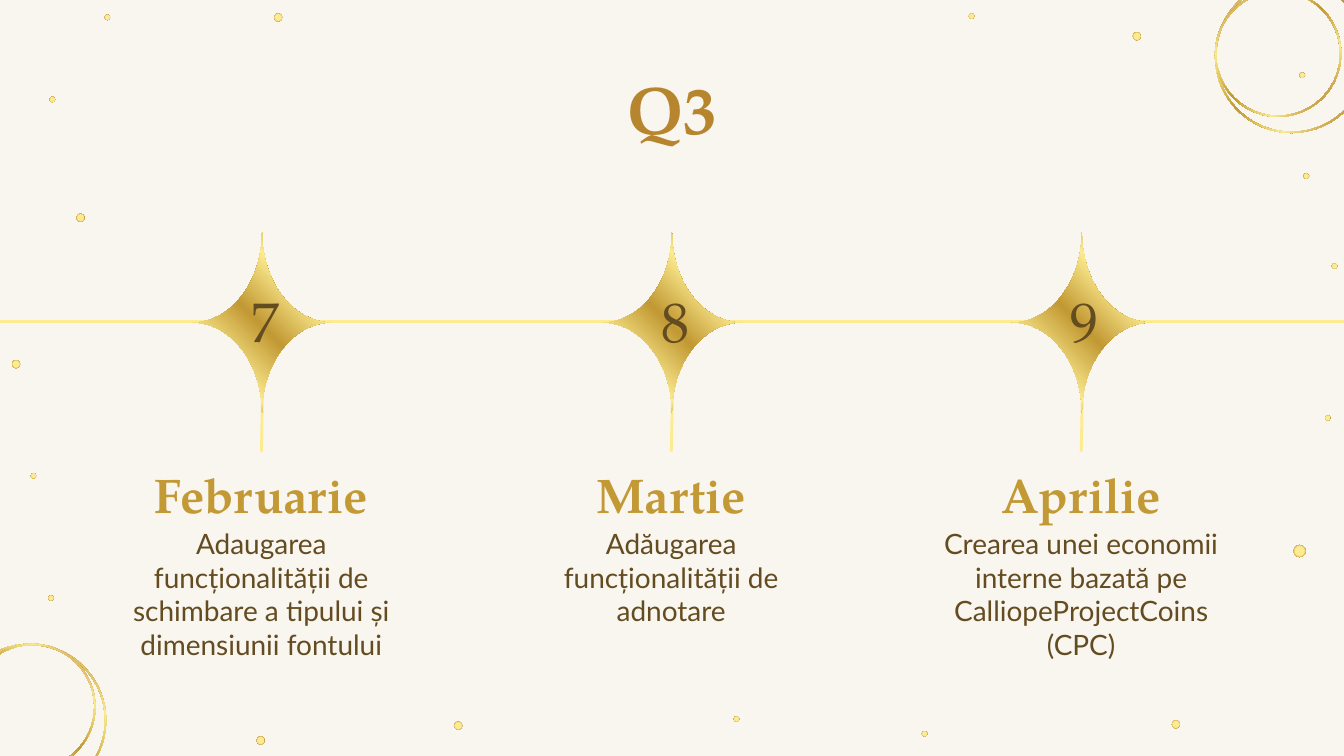
from typing import NamedTuple

from lxml import etree
from pptx import Presentation
from pptx import util as u
from pptx.dml.color import RGBColor
from pptx.enum import shapes as sh, text as tx
from pptx.oxml import parse_xml
from pptx.oxml.ns import nsdecls, qn

HUES = {"back": "F9F5EF", "pale": "FCEB8F", "gold": "C29934", "tan": "C99F4A",
        "dark": "B88532", "title": "B6852D", "ink": "644C21"}
SERIF, SANS = "TeX Gyre Pagella", "Lato"
BAND = [(0, "dark"), (9, "tan"), (25, "pale"), (49, "gold"),
        (72, "pale"), (86, "tan"), (100, "dark")]
SPARK = [BAND[0], (9, "gold"), *BAND[2:]]
GLOW = [(0, "pale"), (21, "pale"), (52, "pale"), (79, "tan"), (100, "gold")]
RADIAL = ('<a:path path="circle"><a:fillToRect l="50000" t="50000" '
          'r="50000" b="50000"/></a:path>')


class Dot(NamedTuple):
    x: float
    y: float
    size: float


class Ring(NamedTuple):
    x: float
    y: float
    rad: float
    turn: float


class Month(NamedTuple):
    num: str
    name: str
    goal: str


class Font(NamedTuple):
    face: str
    size: int
    hue: str
    bold: bool = False


BIG = [(0.12, 2.71), (2.07, 0.13), (0.6, 1.62), (1.94, 5.51),
       (3.41, 5.4), (8.75, 5.39), (8.46, 0.27)]
SMALL = [(0.39, 0.74), (9.72, 1.31), (0.25, 3.54), (0.38, 4.45), (0.8, 0.13),
         (5.48, 5.35), (7.23, 0.12), (9.69, 0.56), (9.93, 1.98),
         (9.88, 3.11), (6.88, 5.46)]
DOTS = ([Dot(x, y, 0.06) for x, y in BIG] + [Dot(9.67, 4.1, 0.09)]
        + [Dot(x, y, 0.04) for x, y in SMALL])
RINGS = [Ring(9.61, 0.42, 0.57, 0), Ring(9.51, 0.4, 0.47, 0),
         Ring(0.22, 5.36, 0.57, 87.3), Ring(0.24, 5.26, 0.47, 87.3)]
MONTHS = [
    Month("7", "Februarie", "Adaugarea funcționalității de schimbare a tipului "
          "și dimensiunii fontului"),
    Month("8", "Martie", "Adăugarea funcționalității de adnotare"),
    Month("9", "Aprilie", "Crearea unei economii interne bazată pe "
          "CalliopeProjectCoins (CPC)"),
]
FIRST, STEP, AXIS = 1.95, 3.05, 2.39


def color(name: str) -> RGBColor:
    return RGBColor.from_string(HUES[name])


def shade(shape, stops: list, angle=None) -> None:
    """Fill with a linear gradient, or a radial one when no angle is given."""
    shape.shadow.inherit = False
    shape.line.fill.background()
    shape.fill.background()
    marks = "".join(f'<a:gs pos="{p * 1000}"><a:srgbClr val="{HUES[c]}"/></a:gs>'
                    for p, c in stops)
    way = RADIAL if angle is None else f'<a:lin ang="{angle * 60000}" scaled="0"/>'
    grad = parse_xml(f'<a:gradFill {nsdecls("a")} rotWithShape="1">'
                     f'<a:gsLst>{marks}</a:gsLst>{way}</a:gradFill>')
    props = shape._element.spPr
    props.replace(props.find(qn("a:noFill")), grad)


def add_round(slide, kind, x: float, y: float, size: float):
    return slide.shapes.add_shape(kind, u.Inches(x - size / 2), u.Inches(y - size / 2),
                                  u.Inches(size), u.Inches(size))


def add_dot(slide, dot: Dot) -> None:
    shade(add_round(slide, sh.MSO_SHAPE.OVAL, *dot), GLOW)


def add_ring(slide, ring: Ring) -> None:
    size, thick = 2 * ring.rad, 0.01
    hoop = add_round(slide, sh.MSO_SHAPE.DONUT, ring.x, ring.y, size)
    hoop.adjustments[0] = thick / size
    hoop.rotation = ring.turn
    shade(hoop, BAND, 45)


def add_line(slide, x1: float, y1: float, x2: float, y2: float):
    line = slide.shapes.add_connector(sh.MSO_CONNECTOR.STRAIGHT, u.Inches(x1),
                                      u.Inches(y1), u.Inches(x2), u.Inches(y2))
    line.line.color.rgb = color("pale")
    line.line.width = u.Pt(1.5)
    etree.SubElement(line._element.spPr, qn("a:effectLst"))
    return line


def add_star(slide, x: float, y: float) -> None:
    """Four-point star whose sides are sampled Bezier curves."""
    wide, tall, count = 0.52, 0.67, 16
    side = []
    for i in range(count + 1):
        t = i / count
        side.append((wide * (1.32 * t * t * (1 - t) + t ** 3),
                     tall * ((1 - t) ** 3 + 1.36 * t * (1 - t) ** 2)))
    back = side[::-1]
    pts = ([(a, -b) for a, b in side] + [(a, b) for a, b in back]
           + [(-a, b) for a, b in side] + [(-a, -b) for a, b in back])
    spots = [(u.Inches(x + a), u.Inches(y + b)) for a, b in pts]
    pen = slide.shapes.build_freeform(*spots[0])
    pen.add_line_segments(spots[1:], close=True)
    shade(pen.convert_to_shape(), SPARK, 315)


def add_text(slide, words: str, x: float, y: float, w: float, h: float,
             font: Font, anchor=tx.MSO_ANCHOR.TOP):
    box = slide.shapes.add_textbox(u.Inches(x), u.Inches(y), u.Inches(w), u.Inches(h))
    frame = box.text_frame
    frame.word_wrap = True
    frame.vertical_anchor = anchor
    frame.margin_left = frame.margin_right = u.Inches(0.1)
    frame.margin_top = frame.margin_bottom = u.Inches(0.1)
    frame.text = words
    para = frame.paragraphs[0]
    para.alignment = tx.PP_ALIGN.CENTER
    face = para.runs[0].font
    face.name, face.size, face.bold = font.face, u.Pt(font.size), font.bold
    face.color.rgb = color(font.hue)
    return box


def add_month(slide, month: Month, x: float) -> None:
    stem = add_line(slide, x, 2.57, x, 3.36)
    add_star(slide, x, AXIS + 0.01)
    left, wide = x - 1.17, 2.33
    name = add_text(slide, month.name, left, 3.36, wide, 0.54,
                    Font(SERIF, 26, "gold", True))
    add_text(slide, month.goal, left, 3.82, wide, 0.97, Font(SANS, 15, "ink"))
    num = add_text(slide, month.num, x - 0.18, 2.2, 0.38, 0.37,
                   Font(SERIF, 30, "ink"), tx.MSO_ANCHOR.MIDDLE)
    stem.begin_connect(num, 2)
    stem.end_connect(name, 0)


def main() -> None:
    deck = Presentation()
    deck.slide_width = u.Inches(10)
    deck.slide_height = u.Inches(10 * 9 / 16)
    slide = deck.slides.add_slide(deck.slide_layouts[6])
    slide.background.fill.solid()
    slide.background.fill.fore_color.rgb = color("back")

    # Confetti and corner rings
    for dot in DOTS:
        add_dot(slide, dot)
    for ring in RINGS:
        add_ring(slide, ring)

    # Title and timeline
    add_text(slide, "Q3", 0.78, 0.4, 8.44, 0.63, Font(SERIF, 36, "title", True))
    add_line(slide, -0.97, AXIS, 10.05, AXIS)
    for i, month in enumerate(MONTHS):
        add_month(slide, month, FIRST + i * STEP)

    deck.save("out.pptx")


if __name__ == "__main__":
    main()
